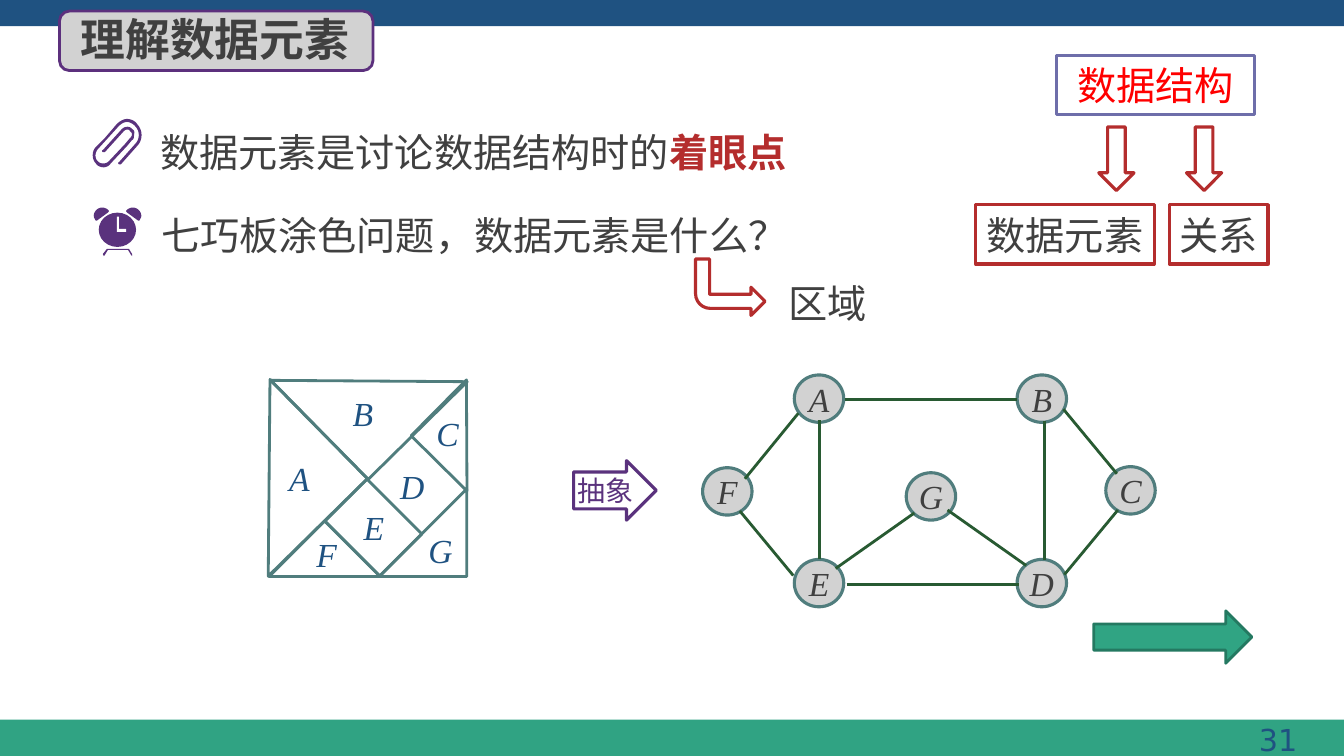
from dataclasses import dataclass
from typing import Any, Optional

import lxml.etree
import pptx
import pptx.dml.color
import pptx.enum.shapes
import pptx.enum.text
import pptx.oxml.ns
import pptx.util

SHAPE = pptx.enum.shapes.MSO_SHAPE
ALIGN = pptx.enum.text.PP_ALIGN
ANCHOR = pptx.enum.text.MSO_ANCHOR
CELL = 0.1  # inches per grid column and row
COLS, ROWS = 133.33, 75
CJK, SERIF, SANS = "Noto Sans CJK SC", "Times New Roman", "DejaVu Sans"
NAVY, GREEN, GREY, INK = "1F5281", "30A383", "D2D2D2", "404040"
PURPLE, RED, TEAL, EDGE = "5A327D", "B42D2D", "507D7D", "285A32"


@dataclass
class Run:
    text: str
    size: float = 28
    color: str = INK
    font: str = CJK
    bold: bool = False
    italic: bool = False


@dataclass
class Block:
    kind: Any
    at: tuple[float, float, float, float]
    fill: Optional[str] = None
    line: Optional[str] = None
    width: float = 2.25
    turn: float = 0
    adjust: tuple[float, ...] = ()
    run: Optional[Run] = None


@dataclass
class Label:
    at: tuple[float, float, float, float]
    runs: list[Run]
    align: Any = ALIGN.LEFT


def cells(n: float) -> int:
    return pptx.util.Inches(n * CELL)


def rgb(color: str) -> pptx.dml.color.RGBColor:
    return pptx.dml.color.RGBColor.from_string(color)


def paint(s: Any, fill: Optional[str], line: Optional[str], width: float) -> None:
    s.shadow.inherit = False
    if fill:
        s.fill.solid()
        s.fill.fore_color.rgb = rgb(fill)
    else:
        s.fill.background()
    if line:
        s.line.color.rgb = rgb(line)
        s.line.width = pptx.util.Pt(width)
    else:
        s.line.fill.background()


def write(tf: Any, runs: list[Run], align: Any) -> None:
    tf.word_wrap = False
    tf.vertical_anchor = ANCHOR.MIDDLE
    p = tf.paragraphs[0]
    p.alignment = align
    for run in runs:
        r = p.add_run()
        r.text = run.text
        r.font.size = pptx.util.Pt(run.size)
        r.font.name = run.font
        r.font.bold, r.font.italic = run.bold, run.italic
        r.font.color.rgb = rgb(run.color)
        ea = lxml.etree.SubElement(r._r.get_or_add_rPr(), pptx.oxml.ns.qn("a:ea"))
        ea.set("typeface", run.font)


def add_block(slide: Any, block: Block) -> Any:
    s = slide.shapes.add_shape(block.kind, *map(cells, block.at))
    paint(s, block.fill, block.line, block.width)
    s.rotation = block.turn
    for i, value in enumerate(block.adjust):
        s.adjustments[i] = value
    if block.run:
        tf = s.text_frame
        tf.margin_left = tf.margin_right = tf.margin_top = tf.margin_bottom = 0
        write(tf, [block.run], ALIGN.CENTER)
    return s


def add_label(slide: Any, label: Label) -> None:
    s = slide.shapes.add_textbox(*map(cells, label.at))
    write(s.text_frame, label.runs, label.align)
    s.text_frame.word_wrap = True


def add_edge(slide: Any, ends: tuple[float, float, float, float]) -> None:
    s = slide.shapes.add_connector(pptx.enum.shapes.MSO_CONNECTOR.STRAIGHT, *map(cells, ends))
    s.line.color.rgb = rgb(EDGE)
    s.line.width = pptx.util.Pt(2)
    lxml.etree.SubElement(s._element.spPr, pptx.oxml.ns.qn("a:effectLst"))


def flatten(steps: list[tuple[float, ...]], parts: int = 8) -> list[tuple[float, float]]:
    """Turn steps of 2 numbers (corner) or 6 (Bezier curve) into points."""
    points = [steps[0]]
    for step in steps[1:]:
        if len(step) == 2:
            points.append(step)
            continue
        knots = [points[-1], step[:2], step[2:4], step[4:]]
        for i in range(1, parts + 1):
            t = i / parts
            weights = ((1 - t) ** 3, 3 * t * (1 - t) ** 2, 3 * t * t * (1 - t), t ** 3)
            points.append(tuple(sum(w * k[axis] for w, k in zip(weights, knots)) for axis in (0, 1)))
    return points


def add_outline(slide: Any, points: list[tuple[float, float]], fill: str) -> None:
    corners = [(cells(x), cells(y)) for x, y in points]
    builder = slide.shapes.build_freeform(*corners[0])
    builder.add_line_segments(corners[1:], close=True)
    paint(builder.convert_to_shape(), fill, None, 0)


BANDS = [Block(SHAPE.RECTANGLE, (0, 71.4, COLS, 3.6), GREEN),
         Block(SHAPE.RECTANGLE, (0, 0, COLS, 2.6), NAVY),
         Block(SHAPE.ROUNDED_RECTANGLE, (5.9, 1.1, 31.1, 5.9), GREY, "5C307D", 2)]
CONCEPTS = [
    Block(SHAPE.RECTANGLE, (104.8, 5.5, 19.7, 5.9), None, "6E6EAA", 2, run=Run("数据结构", color="FF0000")),
    Block(SHAPE.RECTANGLE, (96.8, 20.3, 17.7, 5.9), None, RED, run=Run("数据元素")),
    Block(SHAPE.RECTANGLE, (116, 20.3, 9.8, 5.9), None, RED, run=Run("关系")),
    *(Block(SHAPE.RIGHT_ARROW, (x, 14, 6.3, 3.5), None, RED, turn=90) for x in (107.6, 116.3)),
]
ARROWS = [
    Block(SHAPE.RIGHT_ARROW, (56.9, 45.7, 8.2, 5.9), None, PURPLE, adjust=(0.62, 0.5),
          run=Run("抽象", 20, PURPLE)),
    Block(SHAPE.RIGHT_ARROW, (108.5, 60.6, 15.7, 5.2), "30A483", "247961", 2),
]
TANGRAM = [Block(kind, at, None, TEAL, 2, turn) for kind, at, turn in (
    (SHAPE.RIGHT_TRIANGLE, (19.8, 40.5, 13.8, 13.8), 225.5),
    (SHAPE.RIGHT_TRIANGLE, (28.3, 53.3, 7.8, 7.8), 135),
    (SHAPE.RECTANGLE, (34.1, 48.5, 5.9, 7.7), 315),
    (SHAPE.RIGHT_TRIANGLE, (42.4, 39.3, 7.8, 7.8), 44.7),
    (SHAPE.RIGHT_TRIANGLE, (37.6, 48.5, 8.7, 8.7), 270),
    (SHAPE.RIGHT_TRIANGLE, (29.7, 30.9, 13.8, 13.8), 315.4))]
REGIONS = {"A": (27.7, 44.9), "B": (34, 38.5), "C": (42.3, 40.5), "D": (38.7, 45.7),
           "E": (35.1, 49.8), "F": (30.4, 52.5), "G": (41.5, 52.1)}
NODES = {"A": (78.8, 37.2), "B": (100.9, 37.2), "C": (109.7, 46.3), "D": (100.9, 55.5),
         "E": (78.8, 55.5), "F": (69.7, 46.4), "G": (89.9, 46.9)}
EDGES = [(83.8, 39.6, 100.9, 39.6), (90.7, 50.9, 82.9, 56.4), (81.3, 41.7, 81.3, 55.5),
         (103.6, 41.8, 103.6, 55.6), (84, 58, 101.1, 58), (94, 50.6, 101.8, 56.1),
         (79.2, 41, 73.9, 47.5), (78.7, 57.1, 73.4, 50.7), (110.9, 50.6, 105.6, 57),
         (110.8, 47, 105.5, 40.6)]
LABELS = [
    Label((100.3, 71.1, 29.4, 4.6), [Run("31", 21.6, NAVY, SANS)], ALIGN.RIGHT),
    Label((7, 0.6, 30.2, 6.4), [Run("理解数据元素", 32, bold=True)]),
    Label((14.9, 11.3, 70.8, 7.6), [Run("数据元素是讨论数据结构时的"), Run("着眼点", color=RED, bold=True)]),
    Label((15, 19.5, 68, 7.6), [Run("七巧板涂色问题，数据元素是什么？")]),
    Label((77.2, 26.2, 11.7, 7.6), [Run("区域")]),
    *(Label((*at, 4.8, 5), [Run(name, 24, NAVY, SERIF, italic=True)]) for name, at in REGIONS.items()),
]
CLIP = [(13.6, 12.3), (13.4, 12, 13, 11.8, 12.6, 11.8), (12.3, 11.8, 11.9, 12, 11.6, 12.3),
        (10.4, 13.7), (9.5, 14.6), (9.1, 15, 9.1, 15.8, 9.5, 16.2), (9.7, 16.5, 10, 16.6, 10.3, 16.6),
        (10.5, 16.6, 10.8, 16.5, 11, 16.2), (12.6, 14.5), (13.1, 13.9),
        (13.3, 13.8, 13.3, 13.6, 13.3, 13.3), (13.4, 13.1, 13.3, 12.9, 13.1, 12.8),
        (12.9, 12.5, 12.4, 12.5, 12.1, 12.8), (10.2, 14.9), (10.1, 14.9, 10.1, 15, 10.2, 15.1),
        (10.4, 15.1), (12.3, 13), (12.5, 12.8, 12.8, 12.8, 12.9, 13), (13, 13.1, 13.1, 13.2, 13.1, 13.3),
        (13.1, 13.5, 13, 13.6, 12.9, 13.7), (12.4, 14.3), (10.8, 16), (10.5, 16.3, 10, 16.3, 9.7, 16),
        (9.4, 15.7, 9.4, 15.2, 9.7, 14.8), (9.8, 14.7), (11.8, 12.5), (12, 12.3, 12.3, 12.1, 12.6, 12.1),
        (12.9, 12.1, 13.2, 12.3, 13.4, 12.5), (13.9, 13, 13.9, 13.8, 13.4, 14.3), (11.8, 16.1),
        (11.7, 16.1, 11.7, 16.2, 11.8, 16.3), (12, 16.3), (13.6, 14.5), (14.2, 13.9, 14.2, 12.9, 13.6, 12.3)]
BELL = [(10.1, 20.6), (9.7, 20.6, 9.3, 21, 9.3, 21.4), (9.3, 21.6, 9.4, 21.7, 9.5, 21.9), (9.6, 21.9),
        (10.7, 21.1), (10.8, 21, 10.8, 21, 10.8, 20.9), (10.6, 20.7, 10.4, 20.6, 10.1, 20.6)]
CLOCK_AXIS = 11.66
FEET = [(13.1, 25.2), (12.8, 24.7), (10.6, 24.7), (10.2, 25.2), (10.3, 25.4), (10.4, 25.3), (10.7, 24.8),
        (12.7, 24.8), (13, 25.3), (13.1, 25.4)]
HANDS = [(11.6, 21.5), (11.8, 21.5), (11.8, 22.7), (12.5, 22.7), (12.5, 23), (11.6, 23)]


def add_icons(slide: Any) -> None:
    bell = flatten(BELL)
    for points in (flatten(CLIP), FEET, bell, [(2 * CLOCK_AXIS - x, y) for x, y in bell]):
        add_outline(slide, points, PURPLE)
    add_block(slide, Block(SHAPE.OVAL, (9.8, 21.1, 3.7, 3.4), PURPLE))
    add_outline(slide, HANDS, "FFFFFF")


def main() -> None:
    prs = pptx.Presentation()
    prs.slide_width, prs.slide_height = cells(COLS), cells(ROWS)
    slide = prs.slides.add_slide(prs.slide_layouts[6])
    nodes = [Block(SHAPE.OVAL, (*at, 4.9, 4.7), GREY, TEAL, run=Run(name, 24, INK, SERIF, italic=True))
             for name, at in NODES.items()]
    for block in BANDS + CONCEPTS + TANGRAM + ARROWS + nodes:
        add_block(slide, block)
    bend = add_block(slide, Block(SHAPE.BENT_ARROW, (69, 25.7, 6.9, 5.6), None, RED,
                                  adjust=(0.25, 0.25, 0.25, 0.26)))
    bend._element.spPr.xfrm.set("flipV", "1")
    for ends in EDGES:
        add_edge(slide, ends)
    add_icons(slide)
    for label in LABELS:
        add_label(slide, label)
    prs.save("out.pptx")


if __name__ == "__main__":
    main()
